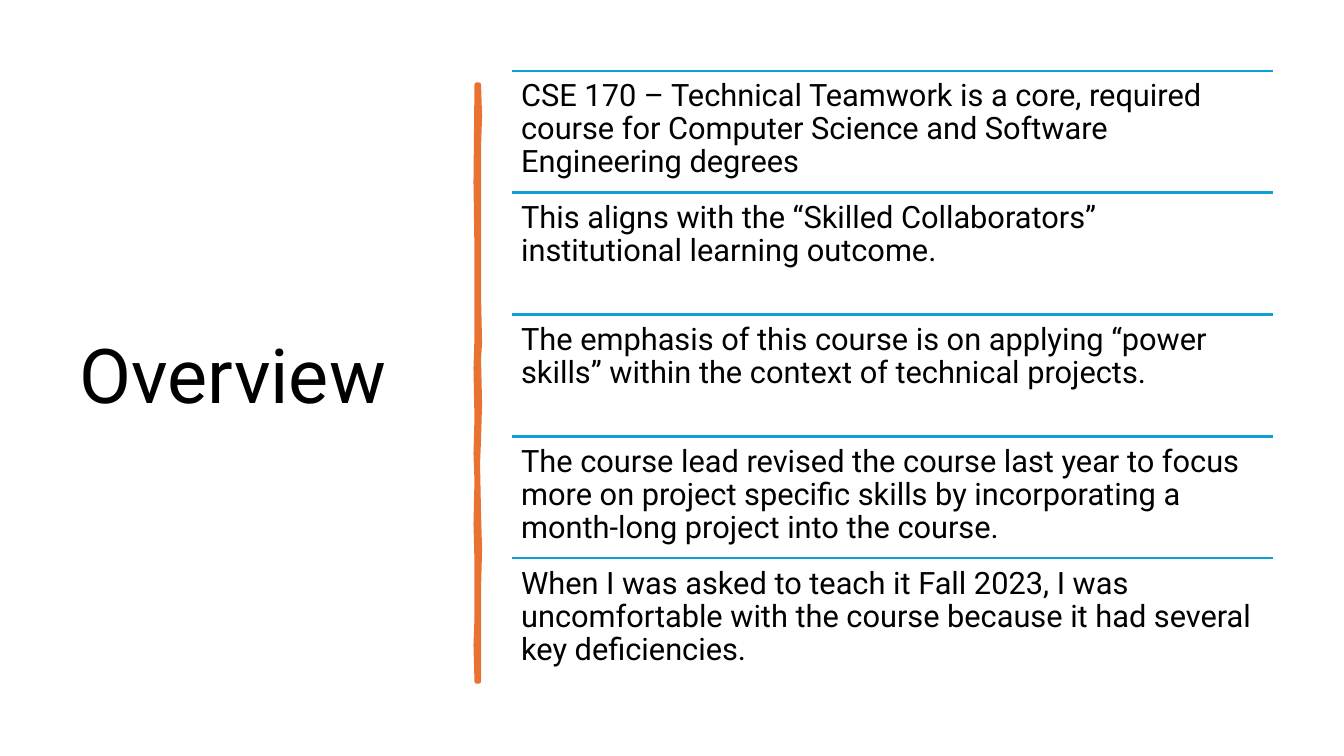
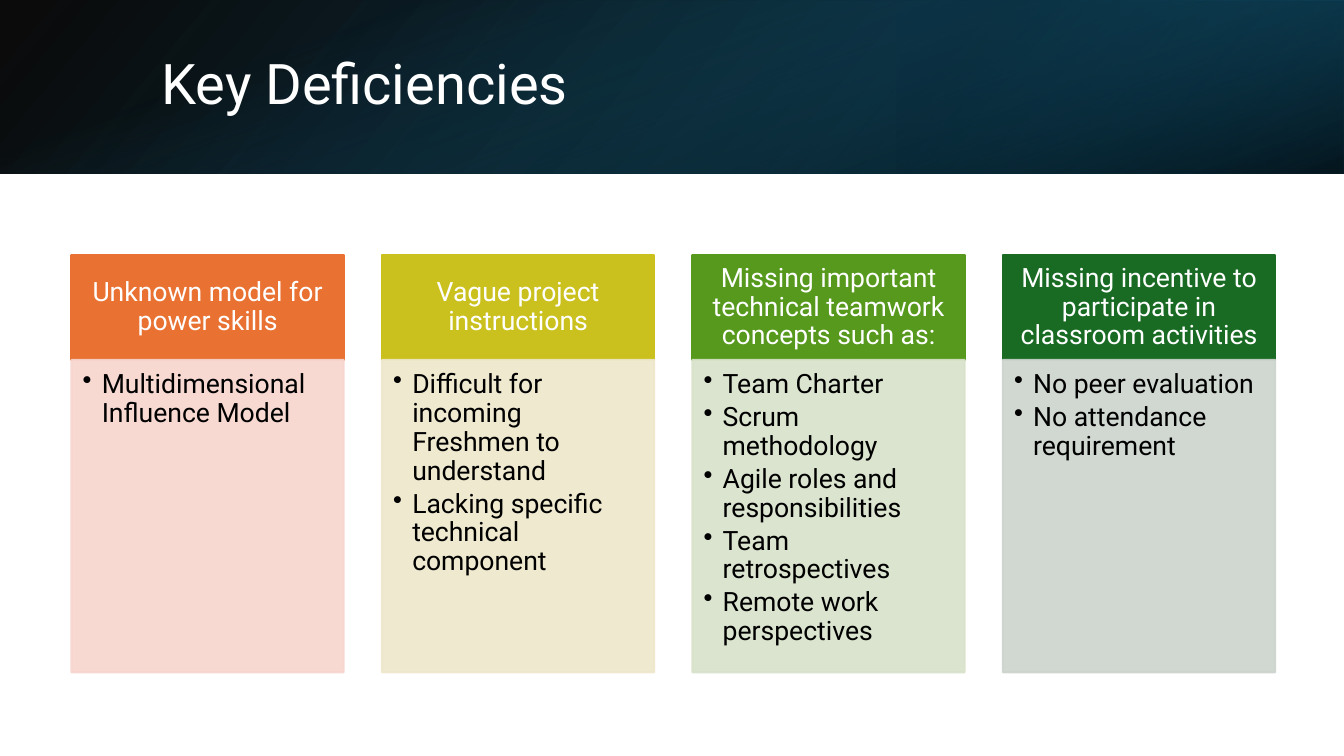
import dataclasses

import lxml.etree
import pptx
import pptx.dml.color
import pptx.enum.shapes
import pptx.enum.text
import pptx.oxml
import pptx.oxml.ns
import pptx.util

PX = 9144  # EMU per px, 100 px to the inch
RGB = pptx.dml.color.RGBColor.from_string
qn = pptx.oxml.ns.qn
ALIGN = pptx.enum.text.PP_ALIGN
ANCHOR = pptx.enum.text.MSO_ANCHOR
RECT = pptx.enum.shapes.MSO_SHAPE.RECTANGLE


@dataclasses.dataclass(frozen=True)
class Theme:
    font: str = "Roboto"
    black: str = "000000"
    white: str = "FFFFFF"
    orange: str = "E97132"
    rule: str = "0F9ED5"
    teal: str = "156082"
    teal_mid: str = "104862"
    teal_dark: str = "0B3041"
    title: int = 54
    band_title: int = 40
    body: int = 22
    card: int = 19


T = Theme()


def rect(s, x, y, w, h):
    sp = s.shapes.add_shape(RECT, x * PX, y * PX, w * PX, h * PX)
    sp.shadow.inherit = False
    sp.line.fill.background()
    return sp


def write(tf, lines, size, color, margins, align=ALIGN.LEFT, anchor=ANCHOR.TOP):
    tf.word_wrap = True
    tf.auto_size = pptx.enum.text.MSO_AUTO_SIZE.NONE
    tf.vertical_anchor = anchor
    tf.margin_left, tf.margin_top, tf.margin_right, tf.margin_bottom = (m * PX for m in margins)
    for i, line in enumerate(lines):
        p = tf.paragraphs[0] if i == 0 else tf.add_paragraph()
        p.text = line
        p.alignment = align
        p.line_spacing = 0.9
        p.font.name = T.font
        p.font.size = pptx.util.Pt(size)
        p.font.color.rgb = RGB(color)


prs = pptx.Presentation()
prs.slide_width, prs.slide_height = pptx.util.Inches(13.333), pptx.util.Inches(7.5)

# Titles: one slide each, with its place, size and colour
slides = []
for text, (x, y, w, h), size, color in (
    ("Overview", (69, 70, 374, 611), T.title, T.black),
    ("Key Deficiencies", (150, 38, 1098, 96), T.band_title, T.white),
):
    s = prs.slides.add_slide(prs.slide_layouts[5])
    title = s.shapes.title
    title.left, title.top, title.width, title.height = x * PX, y * PX, w * PX, h * PX
    write(title.text_frame, [text], size, color, (10, 5, 10, 5), anchor=ANCHOR.MIDDLE)
    slides.append(s)
overview, deficiencies = slides

# Overview: hand-drawn vertical stroke, down the right edge and up the left
right_edge = [(475, 84), (476, 115), (475, 146), (475, 294), (476, 340), (475, 356),
              (476, 400), (475, 436), (474, 460), (475, 510), (476, 545), (475, 584), (475, 676)]
left_edge = [(473, 676), (472, 640), (473, 613), (473, 557), (472, 520), (473, 477),
             (472, 450), (473, 415), (472, 365), (473, 335), (473, 250), (472, 181), (473, 84)]
outline = right_edge + left_edge
builder = overview.shapes.build_freeform(*outline[0], scale=PX)
builder.add_line_segments(outline[1:], close=True)
stroke = builder.convert_to_shape()
stroke.shadow.inherit = False
stroke.fill.solid()
stroke.fill.fore_color.rgb = RGB(T.orange)
stroke.line.color.rgb = RGB(T.orange)
stroke.line.width = pptx.util.Pt(3.25)
lxml.etree.SubElement(stroke.line._get_or_add_ln(), qn("a:round"))

# Overview: ruled statements
ROW_X, ROW_Y, ROW_W, ROW_H = 508, 70, 755, 121
statements = [
    "CSE 170 – Technical Teamwork is a core, required course for Computer Science and Software Engineering degrees",
    "This aligns with the “Skilled Collaborators” institutional learning outcome.",
    "The emphasis of this course is on applying “power skills” within the context of technical projects.",
    "The course lead revised the course last year to focus more on project specific skills by incorporating "
    "a month-long project into the course.",
    "When I was asked to teach it Fall 2023, I was uncomfortable with the course because it had several "
    "key deficiencies.",
]
for i, statement in enumerate(statements):
    y = ROW_Y + i * ROW_H
    rule = overview.shapes.add_connector(
        pptx.enum.shapes.MSO_CONNECTOR.STRAIGHT, ROW_X * PX, y * PX, (ROW_X + ROW_W) * PX, y * PX)
    rule.line.color.rgb = RGB(T.rule)
    rule.line.width = pptx.util.Pt(1.5)
    lxml.etree.SubElement(rule._element.spPr, qn("a:effectLst"))
    box = overview.shapes.add_textbox(ROW_X * PX, y * PX, ROW_W * PX, ROW_H * PX)
    write(box.text_frame, [statement], T.body, T.black, (9, 9, 9, 9))

# Key Deficiencies: header band of three layered gradients
# Each: place, rotation, mirrored, angle, stops of (position %, colour, opacity %)
layers = [
    ((0, 0, 1333, 172), 0, True, 140, [(0, T.black, 96), (100, T.teal_mid, 100)]),
    ((889, 0, 444, 172), 180, True, 320, [(19, T.teal_dark, 68), (100, T.teal, 79)]),
    ((580, -580, 172, 1333), 90, False, 340, [(23, T.teal, 0), (99, T.black, 74)]),
]
for place, rotation, mirrored, angle, stops in layers:
    band = rect(deficiencies, *place)
    band.rotation = rotation
    if mirrored:
        band._element.spPr.find(qn("a:xfrm")).set("flipH", "1")
    band.fill.gradient()
    band.fill.gradient_angle = 360 - angle
    stop_list = band._element.spPr.find(qn("a:gradFill")).find(qn("a:gsLst"))
    for stop in list(stop_list):
        stop_list.remove(stop)
    for position, color, opacity in stops:
        stop = lxml.etree.SubElement(stop_list, qn("a:gs"), pos=str(position * 1000))
        clr = lxml.etree.SubElement(stop, qn("a:srgbClr"), val=color)
        lxml.etree.SubElement(clr, qn("a:alpha"), val=str(opacity * 1000))

# The title goes in front of the band
deficiencies.shapes._spTree.append(deficiencies.shapes.title._element)

# Key Deficiencies: four cards, each a heading over a bulleted list
CARD_X, CARD_W, CARD_STEP = 71, 270, 308
HEAD_Y, HEAD_H, LIST_H = 253, 104, 310
cards = [
    (T.orange, "F7D5CE", "Unknown model for power skills", ["Multidimensional Influence Model"]),
    ("CBC11E", "EEE7CB", "Vague project instructions",
     ["Difficult for incoming Freshmen to understand", "Lacking specific technical component"]),
    ("56991D", "D8E2CA", "Missing important technical teamwork concepts such as:",
     ["Team Charter", "Scrum methodology", "Agile roles and responsibilities",
      "Team retrospectives", "Remote work perspectives"]),
    ("196B24", "CCD4CD", "Missing incentive to participate in classroom activities",
     ["No peer evaluation", "No attendance requirement"]),
]
for i, (strong, pale, heading, items) in enumerate(cards):
    x = CARD_X + i * CARD_STEP
    head = rect(deficiencies, x, HEAD_Y, CARD_W, HEAD_H)
    body = rect(deficiencies, x, HEAD_Y + HEAD_H, CARD_W, LIST_H)
    for sp, color in ((head, strong), (body, pale)):
        sp.fill.solid()
        sp.fill.fore_color.rgb = RGB(color)
        sp.line.color.rgb = RGB(color)
        sp.line.width = pptx.util.Pt(1.5)
    for clr in body._element.spPr.iter(qn("a:srgbClr")):
        lxml.etree.SubElement(clr, qn("a:alpha"), val="90000")
    write(head.text_frame, [heading], T.card, T.white, (15, 8, 15, 8), ALIGN.CENTER, ANCHOR.MIDDLE)
    write(body.text_frame, items, T.card, T.black, (11, 11, 15, 17))
    for p in body.text_frame.paragraphs:
        p.space_after = pptx.util.Pt(3)
        pPr = p._p.get_or_add_pPr()
        pPr.set("marL", str(19 * PX))
        pPr.set("indent", str(-19 * PX))
        bullet = pptx.oxml.parse_xml(
            '<a:buChar xmlns:a="http://schemas.openxmlformats.org/drawingml/2006/main" char="•"/>')
        pPr.find(qn("a:defRPr")).addprevious(bullet)

prs.save("out.pptx")
